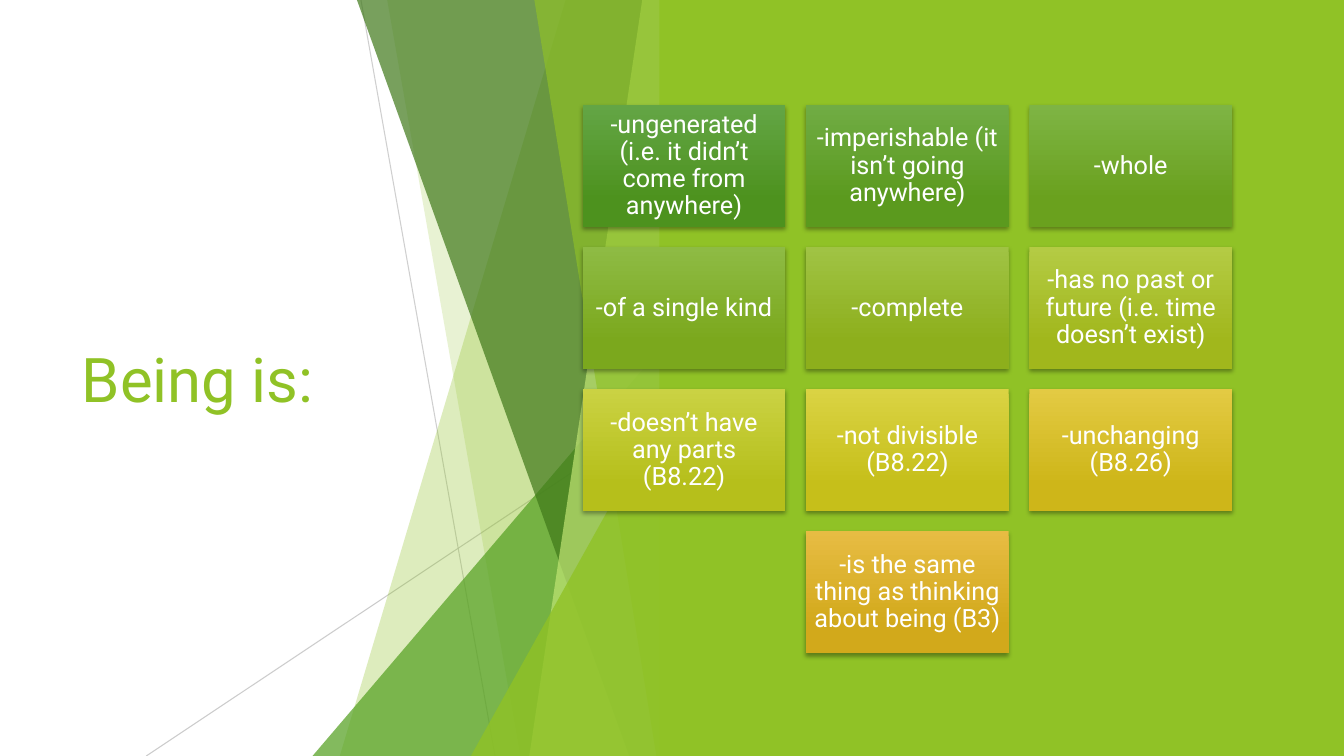
from dataclasses import dataclass
from math import ceil

from lxml.etree import SubElement
from pptx import Presentation
from pptx.dml.color import RGBColor
from pptx.enum.shapes import MSO_CONNECTOR, MSO_SHAPE
from pptx.enum.text import MSO_ANCHOR, PP_ALIGN
from pptx.oxml.ns import qn
from pptx.util import Inches, Pt


@dataclass(frozen=True)
class Theme:
    font: str = "Roboto"
    title_size: int = 44
    card_size: int = 18
    lime: str = "90C226"
    green: str = "54A021"
    forest: str = "3F7819"
    pale: str = "C0E474"
    grey: str = "BFBFBF"
    white: str = "FFFFFF"
    black: str = "000000"


@dataclass(frozen=True)
class Box:
    left: float
    top: float
    width: float
    height: float

    def inches(self):
        return [Inches(n) for n in (self.left, self.top, self.width, self.height)]


THEME = Theme()
SLIDE = Box(0, 0, 13.33, 7.5)
TITLE = Box(0.71, 1.51, 3.88, 4.48)
FACETS = Box(3.1, 0, 3.56, 7.5)
PANEL = Box(6.54, 0, 6.79, 7.5)
GRID = Box(5.78, 1.04, 6.44, 5.44)
COLUMNS = 3
CARD_WIDTH, CARD_HEIGHT = 2.01, 1.21

# Text, gradient top colour, gradient bottom colour
CARDS = [
    ("-ungenerated (i.e. it didn’t come from anywhere)", "63A545", "4D921E"),
    ("-imperishable (it isn’t going anywhere)", "70AC44", "5B9A1E"),
    ("-whole", "7EB444", "6AA11E"),
    ("-of a single kind", "8EBB44", "7BA81D"),
    ("-complete", "A0C344", "8DAF1C"),
    ("-has no past or future (i.e. time doesn’t exist)", "B4CB44", "A1B71C"),
    ("-doesn’t have any parts (B8.22)", "CAD243", "B6BF1B"),
    ("-not divisible (B8.22)", "DAD343", "C6BF1A"),
    ("-unchanging (B8.26)", "E3CA43", "CEB619"),
    ("-is the same thing as thinking about being (B3)", "E7BC43", "D2A91B"),
]


def rgb(color):
    return RGBColor.from_string(color)


def set_opacity(shape, percent):
    color = shape._element.spPr.find(".//" + qn("a:srgbClr"))
    SubElement(color, qn("a:alpha"), val=str(percent * 1000))


def paint(shape, color, opacity=100):
    shape.shadow.inherit = False
    shape.line.fill.background()
    shape.fill.solid()
    shape.fill.fore_color.rgb = rgb(color)
    if opacity < 100:
        set_opacity(shape, opacity)


def format_text(paragraph, size, color):
    for span in paragraph.runs:
        span.font.name = THEME.font
        span.font.size = Pt(size)
        span.font.color.rgb = rgb(color)


def place_title(slide, box, text):
    title = slide.shapes.title
    title.left, title.top, title.width, title.height = box.inches()
    frame = title.text_frame
    frame.text = text
    frame.word_wrap = True
    frame.vertical_anchor = MSO_ANCHOR.MIDDLE
    frame.paragraphs[0].alignment = PP_ALIGN.LEFT
    format_text(frame.paragraphs[0], THEME.title_size, THEME.lime)


def place_facets(slide, box):
    """Draw the fan of translucent facets, its right edge on the box's."""
    bottom, right = box.top + box.height, box.left + box.width

    def hairline(start, end, opacity):
        line = slide.shapes.add_connector(
            MSO_CONNECTOR.STRAIGHT,
            Inches(box.left + start[0]), Inches(box.top + start[1]),
            Inches(box.left + end[0]), Inches(box.top + end[1]))
        line.line.color.rgb = rgb(THEME.grey)
        line.line.width = Pt(0.75)
        set_opacity(line, opacity)
        SubElement(line._element.spPr, qn("a:effectLst"))

    def sheet(top_left, bottom_left, color, opacity):
        corners = [(box.left + top_left, box.top), (right, box.top),
                   (right, bottom), (box.left + bottom_left, bottom)]
        points = [(Inches(x), Inches(y)) for x, y in corners]
        builder = slide.shapes.build_freeform(*points[0], scale=1.0)
        builder.add_line_segments(points[1:], close=True)
        paint(builder.convert_to_shape(), color, opacity)

    def wedge(width, height, color, opacity):
        place = Box(right - width, bottom - height, width, height)
        shape = slide.shapes.add_shape(MSO_SHAPE.ISOSCELES_TRIANGLE, *place.inches())
        shape.adjustments[0] = 1
        paint(shape, color, opacity)

    hairline((0.48, 0), (1.81, box.height), 75)
    hairline((box.width, 4.03), (-1.65, box.height), 80)
    sheet(2.51, 0.27, THEME.lime, 30)
    sheet(0.74, 2.06, THEME.lime, 20)
    wedge(box.width, 4.17, THEME.green, 72)
    sheet(0.44, 3.14, THEME.forest, 70)
    sheet(3.27, 2.15, THEME.pale, 70)
    sheet(2.2, 3.41, THEME.lime, 65)
    wedge(1.99, 3.57, THEME.lime, 80)


def place_panel(slide, box):
    paint(slide.shapes.add_shape(MSO_SHAPE.RECTANGLE, *box.inches()), THEME.lime)


def add_soft_shadow(shape):
    shape.shadow.inherit = False
    effects = shape._element.spPr.find(qn("a:effectLst"))
    shadow = SubElement(effects, qn("a:outerShdw"), blurRad=str(Pt(3)),
                        dist=str(Pt(2)), dir="5400000", rotWithShape="0")
    color = SubElement(shadow, qn("a:srgbClr"), val=THEME.black)
    SubElement(color, qn("a:alpha"), val="35000")


def place_card(slide, box, text, top_color, bottom_color):
    card = slide.shapes.add_shape(MSO_SHAPE.RECTANGLE, *box.inches())
    card.line.fill.background()
    card.fill.gradient()
    card.fill.gradient_angle = 270
    stops = zip(card.fill.gradient_stops, (0, 0.78), (top_color, bottom_color))
    for stop, position, color in stops:
        stop.position = position
        stop.color.rgb = rgb(color)
    add_soft_shadow(card)

    frame = card.text_frame
    frame.text = text
    frame.word_wrap = True
    frame.vertical_anchor = MSO_ANCHOR.MIDDLE
    frame.margin_left = frame.margin_right = Inches(0.07)
    frame.margin_top = frame.margin_bottom = Inches(0.07)
    para = frame.paragraphs[0]
    para.alignment = PP_ALIGN.CENTER
    para.line_spacing = 0.9
    para.space_after = Pt(6.3)
    format_text(para, THEME.card_size, THEME.white)


def place_cards(slide, box, cards):
    """Fill the box row by row; a short last row is centred."""
    rows = ceil(len(cards) / COLUMNS)
    step_x = (box.width - CARD_WIDTH) / (COLUMNS - 1)
    step_y = (box.height - CARD_HEIGHT) / (rows - 1)
    for row in range(rows):
        row_cards = cards[row * COLUMNS:(row + 1) * COLUMNS]
        indent = (COLUMNS - len(row_cards)) * step_x / 2
        for column, card in enumerate(row_cards):
            place = Box(box.left + indent + column * step_x,
                        box.top + row * step_y, CARD_WIDTH, CARD_HEIGHT)
            place_card(slide, place, *card)


def main():
    deck = Presentation()
    deck.slide_width, deck.slide_height = Inches(SLIDE.width), Inches(SLIDE.height)
    page = deck.slides.add_slide(deck.slide_layouts[5])
    place_title(page, TITLE, "Being is:")
    place_facets(page, FACETS)
    place_panel(page, PANEL)
    place_cards(page, GRID, CARDS)
    deck.save("out.pptx")


if __name__ == "__main__":
    main()
